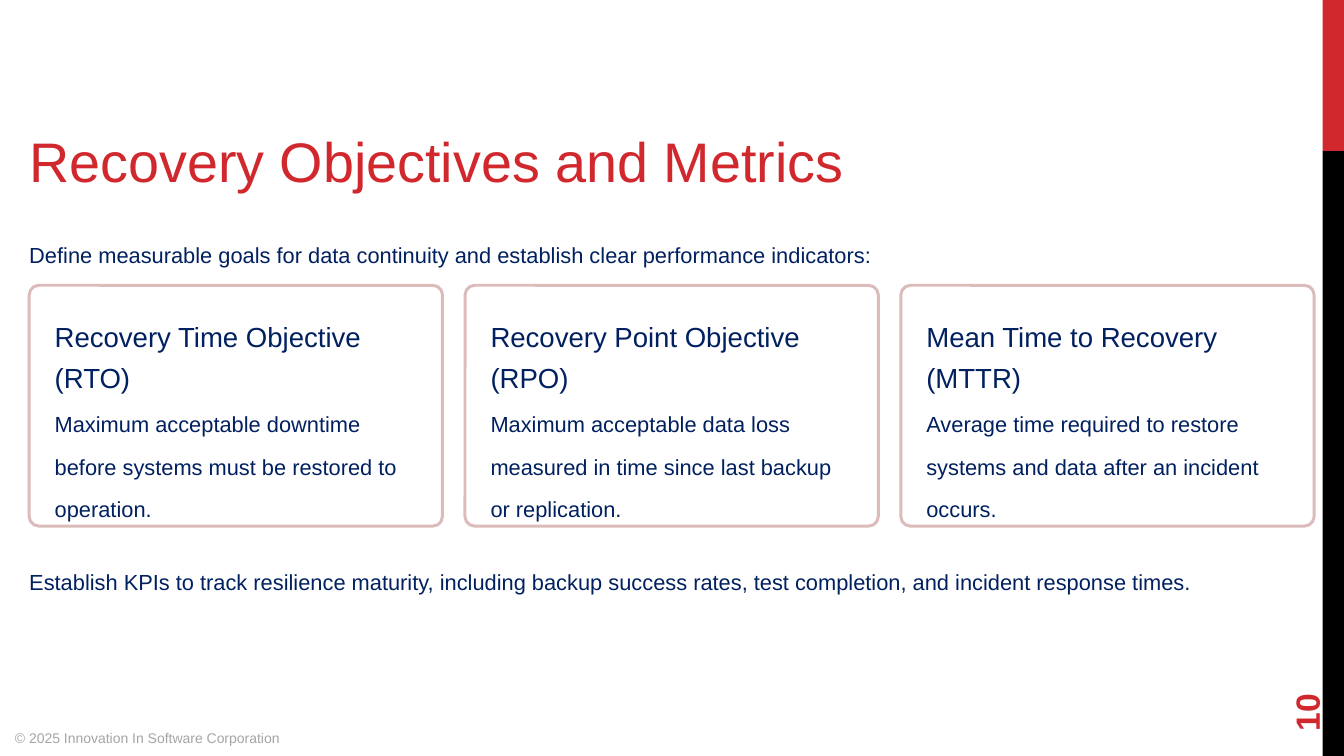
"""Build the recovery objectives and metrics slide."""
from pptx import Presentation
from pptx import util as u
from pptx.dml.color import RGBColor
from pptx.enum import shapes, text

TITLE = "Recovery Objectives and Metrics"
INTRO = "Define measurable goals for data continuity and establish clear performance indicators:"
CARDS = [
    ("Recovery Time Objective (RTO)",
     "Maximum acceptable downtime before systems must be restored to operation."),
    ("Recovery Point Objective (RPO)",
     "Maximum acceptable data loss measured in time since last backup or replication."),
    ("Mean Time to Recovery (MTTR)",
     "Average time required to restore systems and data after an incident occurs."),
]
CLOSING = ("Establish KPIs to track resilience maturity, including backup success rates, "
           "test completion, and incident response times.")
COPYRIGHT = "© 2025 Innovation In Software Corporation"
PAGE_NUMBER = "10"

THEME = {
    "font": "Arial",
    "red": "D1282E", "black": "000000", "white": "FFFFFF",
    "navy": "002060", "gray": "A5A5A5", "border": "DCBBBB",
    "title": 39.8, "heading": 19.7, "body": 15.6, "footer": 10, "number": 24,
}
WIDTH, HEIGHT = 960, 540
BAR_LEFT, BAR_SPLIT = 944.8, 108
MARGIN, CONTENT_WIDTH = 20.9, 918
CARD_TOP, CARD_WIDTH, CARD_HEIGHT, CARD_GAP = 203.8, 295.2, 172, 16.1
CARD_PADDING = 18.2


def color(name):
    return RGBColor.from_string(THEME[name])


def add_box(slide, kind, box, fill, border=None):
    shape = slide.shapes.add_shape(kind, *map(u.Pt, box))
    shape.shadow.inherit = False
    shape.fill.solid()
    shape.fill.fore_color.rgb = color(fill)
    if border:
        shape.line.color.rgb = color(border)
        shape.line.width = u.Pt(2.14)
    else:
        shape.line.fill.background()
    return shape


def add_text(slide, words, box, size, ink="navy", spacing=1.63, insets=(0, 0), bold=False):
    shape = slide.shapes.add_textbox(*map(u.Pt, box))
    frame = shape.text_frame
    frame.word_wrap = True
    frame.margin_left = frame.margin_right = u.Pt(insets[0])
    frame.margin_top = frame.margin_bottom = u.Pt(insets[1])
    paragraph = frame.paragraphs[0]
    paragraph.line_spacing = spacing
    run = paragraph.add_run()
    run.text = words
    run.font.name = THEME["font"]
    run.font.size = u.Pt(THEME[size])
    run.font.bold = bold
    run.font.color.rgb = color(ink)
    return shape


def add_card(slide, left, heading, body):
    card = add_box(slide, shapes.MSO_SHAPE.ROUNDED_RECTANGLE,
                   (left, CARD_TOP, CARD_WIDTH, CARD_HEIGHT), "white", "border")
    card.adjustments[0] = 0.04
    text_left, text_width = left + CARD_PADDING, CARD_WIDTH - 2 * CARD_PADDING
    add_text(slide, heading, (text_left, 222.4, text_width, 49.7), "heading", spacing=1.25)
    add_text(slide, body, (text_left, 281.5, text_width, 76.3), "body")


def main():
    presentation = Presentation()
    presentation.slide_width, presentation.slide_height = u.Pt(WIDTH), u.Pt(HEIGHT)
    slide = presentation.slides.add_slide(presentation.slide_layouts[6])

    for top, bottom, fill in ((0, BAR_SPLIT, "red"), (BAR_SPLIT, HEIGHT, "black")):
        add_box(slide, shapes.MSO_SHAPE.RECTANGLE,
                (BAR_LEFT, top, WIDTH - BAR_LEFT, bottom - top), fill)

    add_text(slide, COPYRIGHT, (3.6, 517.7, 360, 22.3), "footer", "gray", 1, (7.2, 3.6))
    number = add_text(slide, PAGE_NUMBER, (881.3, 458.6, 103.7, 38.2),
                      "number", "red", 1, (7.2, 3.6), True)
    number.rotation = 270
    number.text_frame.vertical_anchor = text.MSO_ANCHOR.MIDDLE

    add_text(slide, TITLE, (MARGIN, 78.5, 671, 49.7), "title", "red", 1.25)
    add_text(slide, INTRO, (MARGIN, 160.6, CONTENT_WIDTH, 25.2), "body")
    for index, (heading, body) in enumerate(CARDS):
        add_card(slide, MARGIN + index * (CARD_WIDTH + CARD_GAP), heading, body)
    add_text(slide, CLOSING, (MARGIN, 394.6, CONTENT_WIDTH, 25.2), "body")

    presentation.save("out.pptx")


if __name__ == "__main__":
    main()
